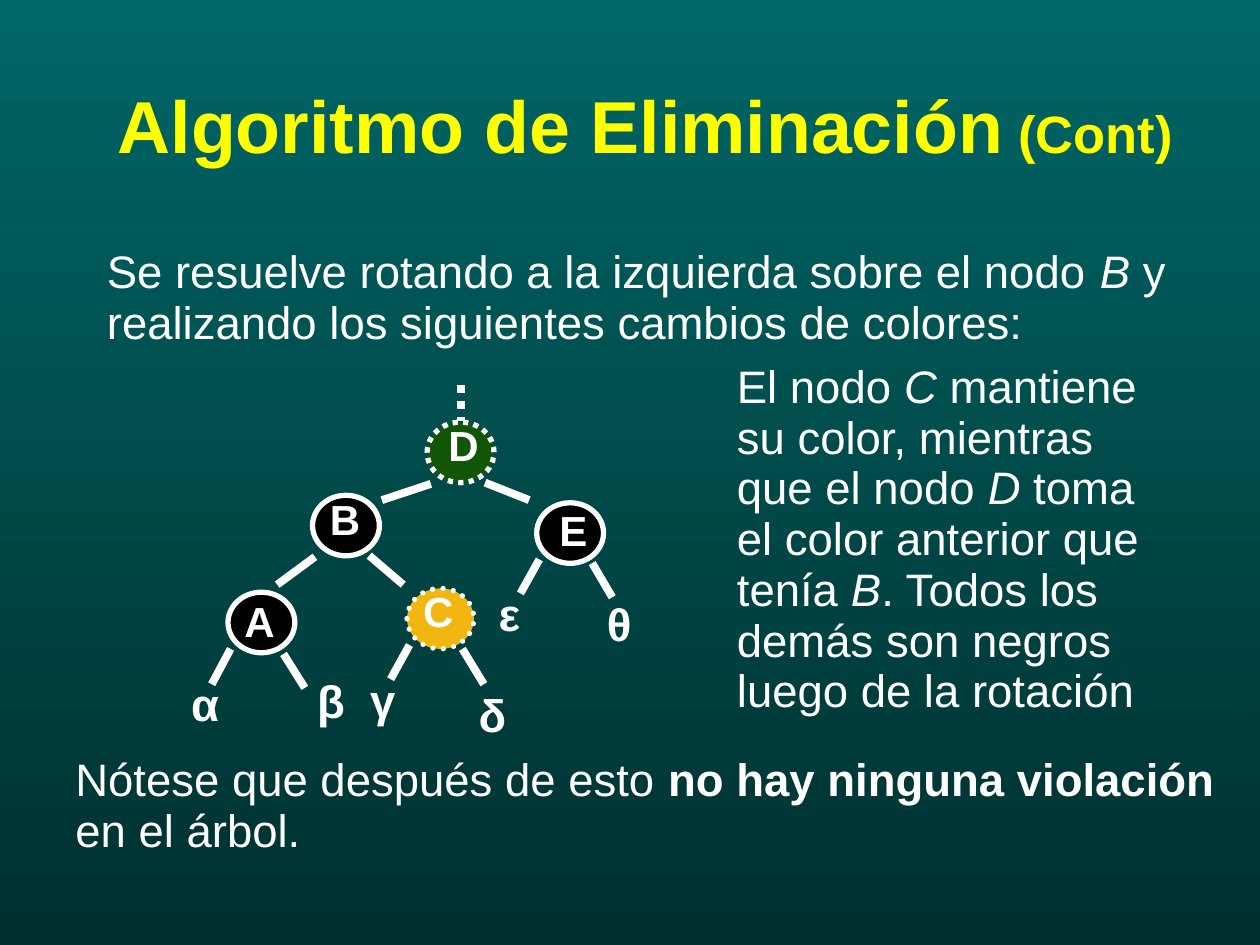
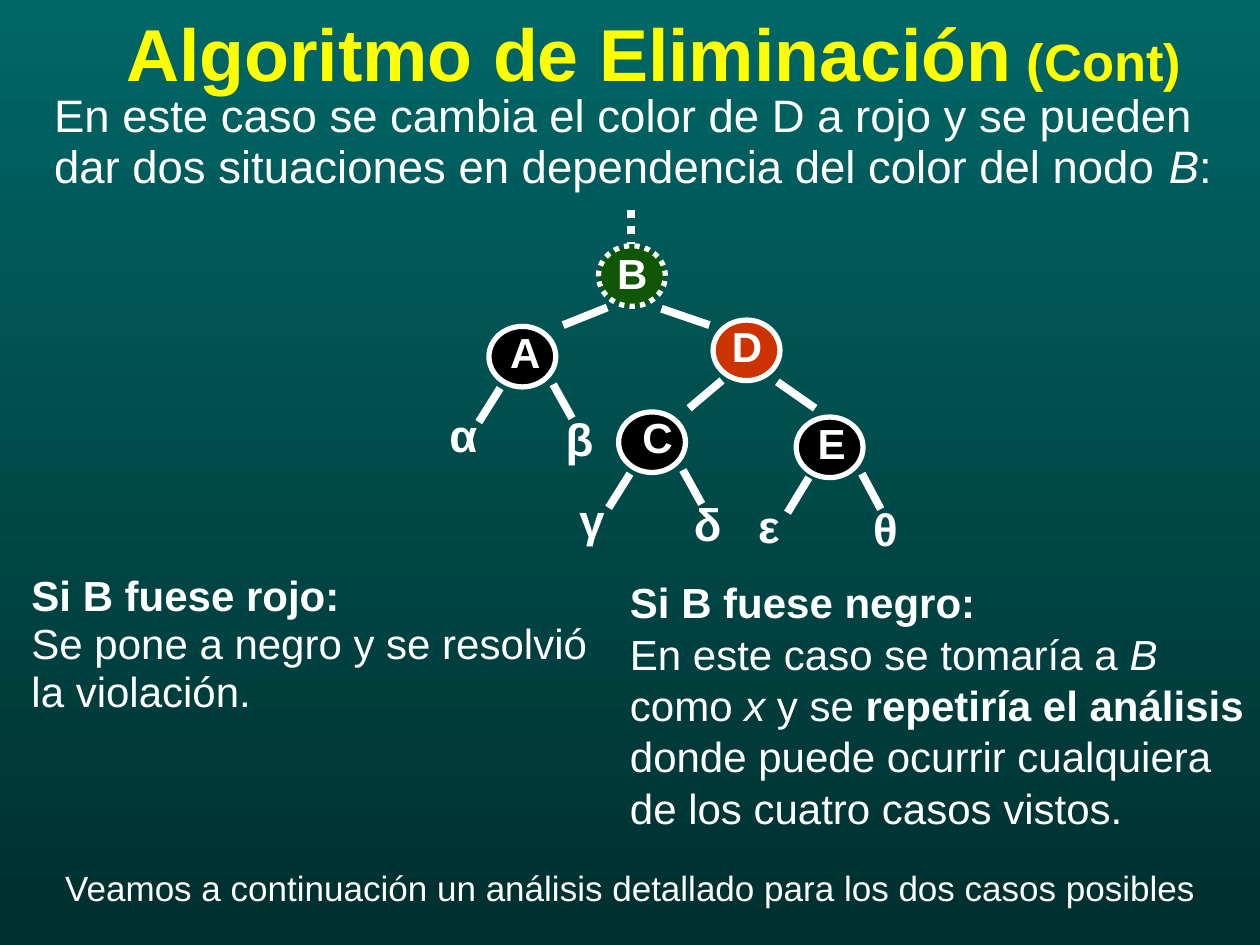
"""Build two slides on deletion in red-black trees."""
import pptx
import pptx.dml.color
import pptx.enum.dml
import pptx.enum.shapes
import pptx.enum.text
import pptx.oxml.ns
import pptx.util
from lxml import etree

Pt = pptx.util.Pt
DOTTED = pptx.enum.dml.MSO_LINE.ROUND_DOT

COLORS = {
    "sky": "006666", "floor": "002F2F", "title": "FFFF00", "text": "FFFFFF",
    "black": "000000", "green": "115606", "amber": "F1B60F", "red": "CC3300",
}
FONT = "Arial"
NODE_SIZE = (38.2, 34.6)
LETTER_SIZE = (34.6, 33.8)
LEAF_SIZE = (31, 38.9)
STYLES = {"": {}, "b": {"bold": True}, "i": {"italic": True}}
TITLE = [("Algoritmo de Eliminación", 42), (" (Cont)", 30)]

SLIDES = [
    {
        "title": {"box": (60, 30, 648, 90), "inset": (7.2, 3.6)},
        "nodes": [
            ("C", "amber", "round", (232.6, 336.2), (234.7, 333.4)),
            ("A", "black", "solid", (130.3, 338.4), (132.5, 339.1)),
            ("B", "black", "solid", (178.6, 283), (181.4, 280.8)),
            ("D", "green", "square", (244.1, 241.2), (249.1, 239)),
            ("E", "black", "solid", (306.7, 287.3), (312.5, 287.3)),
        ],
        "root": (263.5, 220.3, 263.5, 240.5),
        "branches": [
            (246.2, 276.5, 218.2, 285.8), (277.2, 275.8, 302.4, 285.8),
            (180, 318.2, 158.4, 334.1), (211, 317.5, 230.4, 334.1),
            (131.8, 370.8, 121, 391), (162, 373.7, 174.2, 393.1),
            (234, 368.6, 223.2, 388.1), (264.2, 370.8, 276.5, 391),
            (308.2, 319.7, 297.4, 339.1), (338.4, 321.8, 349.9, 341.3),
        ],
        "leaves": [
            ("α", 102.2, 383), ("β", 174.2, 380.9), ("γ", 204.5, 380.2),
            ("δ", 266.4, 388.8), ("ε", 277.9, 331.2), ("θ", 339.8, 337),
        ],
        "notes": [
            {"box": (414, 203.8, 264, 210), "size": 26, "spacing": 0.93, "paragraphs": [[
                ("El nodo ", ""), ("C", "i"),
                (" mantiene su color, mientras que el nodo ", ""), ("D", "i"),
                (" toma el color anterior que tenía ", ""), ("B", "i"),
                (". Todos los demás son negros luego de la rotación", "")]]},
            {"box": (54, 138.2, 636, 65.5), "size": 26, "spacing": 0.93, "paragraphs": [[
                ("Se resuelve rotando a la izquierda sobre el nodo ", ""), ("B", "i"),
                (" y realizando los siguientes cambios de colores:", "")]]},
            {"box": (36, 428.4, 684, 65.5), "size": 26, "spacing": 0.93, "paragraphs": [[
                ("Nótese que después de esto ", ""), ("no hay ninguna violación", "b"),
                (" en el árbol.", "")]]},
        ],
    },
    {
        "title": {"box": (72, -11.5, 625, 90), "inset": (0, 0)},
        "nodes": [
            ("B", "green", "square", (342, 140.4), (345.6, 140.4)),
            ("D", "red", "solid", (407.5, 182.9), (411.1, 182.2)),
            ("E", "black", "solid", (455, 238.3), (460.1, 237.6)),
            ("C", "black", "solid", (353.5, 235.4), (360, 234)),
            ("A", "black", "solid", (279.4, 186.5), (284.4, 185.8)),
        ],
        "root": (360.7, 120.2, 360.7, 139.7),
        "branches": [
            (347, 175.7, 321.8, 185.8), (378, 176.4, 405.4, 185.8),
            (412.6, 217.4, 393.8, 233.3), (444.2, 218.2, 465.8, 233.3),
            (285.8, 221.8, 273.6, 241.2), (316.1, 219.6, 326.9, 239),
            (360, 270.7, 347.8, 290.2), (390.2, 268.6, 401, 288),
            (462.2, 272.9, 450, 293), (492.5, 270.7, 503.3, 290.9),
        ],
        "leaves": [
            ("α", 249.8, 229), ("β", 316.1, 231.1), ("γ", 324, 277.9),
            ("δ", 389.5, 280.1), ("ε", 426.2, 280.8), ("θ", 491.8, 283),
        ],
        "notes": [
            {"box": (23.8, 48.2, 689.8, 118), "size": 26, "spacing": 0.95, "paragraphs": [[
                ("En este caso se cambia el color de D a rojo y se pueden dar dos "
                 "situaciones en dependencia del color del nodo ", ""),
                ("B", "i"), (":", "")]]},
            {"box": (360, 329, 360, 147), "size": 24, "spacing": 1.02, "inset": (0, 0),
             "paragraphs": [
                 [("Si B fuese negro:", "b")],
                 [("En este caso se tomaría a ", ""), ("B", "i"), (" como ", ""),
                  ("x", "i"), (" y se ", ""), ("repetiría el análisis", "b"),
                  (" donde puede ocurrir cualquiera de los cuatro casos vistos.", "")]]},
            {"box": (30.2, 491.8, 684, 31.7), "size": 20, "spacing": 1, "paragraphs": [[
                ("Veamos a continuación un análisis detallado para los dos casos "
                 "posibles", "")]]},
            {"box": (18, 327.6, 333.4, 82), "size": 24, "spacing": 0.95, "inset": (0, 0),
             "paragraphs": [
                 [("Si B fuese rojo:", "b")],
                 [("Se pone a negro y se resolvió la violación.", "")]]},
        ],
    },
]


def rgb(name):
    return pptx.dml.color.RGBColor.from_string(COLORS[name])


def apply(target, values):
    for name, value in values.items():
        setattr(target, name, value)


def format_frame(frame, inset, anchor):
    across, down = map(Pt, inset)
    apply(frame, {
        "word_wrap": True, "auto_size": pptx.enum.text.MSO_AUTO_SIZE.NONE,
        "vertical_anchor": anchor, "margin_left": across, "margin_right": across,
        "margin_top": down, "margin_bottom": down,
    })


def fill_paragraph(paragraph, runs, spacing, color):
    apply(paragraph, {
        "alignment": pptx.enum.text.PP_ALIGN.LEFT, "line_spacing": spacing,
        "space_before": Pt(0), "space_after": Pt(0),
    })
    for words, size, style in runs:
        run = paragraph.add_run()
        run.text = words
        apply(run.font, {"name": FONT, "size": Pt(size), "bold": False,
                         "italic": False, **STYLES[style]})
        run.font.color.rgb = rgb(color)


def add_title(slide, box, inset):
    title = slide.shapes.title
    apply(title, dict(zip(("left", "top", "width", "height"), map(Pt, box))))
    format_frame(title.text_frame, inset, pptx.enum.text.MSO_ANCHOR.MIDDLE)
    runs = [(words, size, "b") for words, size in TITLE]
    fill_paragraph(title.text_frame.paragraphs[0], runs, 0.85, "title")


def add_note(shapes, box, size, spacing, paragraphs, inset=(7.2, 3.6)):
    frame = shapes.add_textbox(*map(Pt, box)).text_frame
    format_frame(frame, inset, pptx.enum.text.MSO_ANCHOR.TOP)
    for index, runs in enumerate(paragraphs):
        paragraph = frame.add_paragraph() if index else frame.paragraphs[0]
        sized = [(words, size, style) for words, style in runs]
        fill_paragraph(paragraph, sized, spacing, "text")


def add_node(shapes, letter, color, outline, corner, letter_corner):
    node = shapes.add_shape(pptx.enum.shapes.MSO_SHAPE.OVAL,
                            *map(Pt, corner + NODE_SIZE))
    node.shadow.inherit = False
    node.fill.solid()
    node.fill.fore_color.rgb = rgb(color)
    node.line.color.rgb = rgb("text")
    node.line.width = Pt(3)
    if outline != "solid":
        node.line.dash_style = DOTTED
    if outline == "round":
        node.element.spPr.find(pptx.oxml.ns.qn("a:ln")).set("cap", "rnd")
    add_note(shapes, letter_corner + LETTER_SIZE, 24, 0.93, [[(letter, "b")]])


def add_branch(shapes, ends, dash=None):
    branch = shapes.add_connector(pptx.enum.shapes.MSO_CONNECTOR.STRAIGHT,
                                  *map(Pt, ends))
    branch.line.color.rgb = rgb("text")
    branch.line.width = Pt(4.5)
    if dash:
        branch.line.dash_style = dash
    etree.SubElement(branch.element.spPr, pptx.oxml.ns.qn("a:effectLst"))


def add_tree(slide, content):
    tree = slide.shapes.add_group_shape().shapes
    for node in content["nodes"]:
        add_node(tree, *node)
    add_branch(tree, content["root"], DOTTED)
    for ends in content["branches"]:
        add_branch(tree, ends)
    for letter, left, top in content["leaves"]:
        add_note(tree, (left, top) + LEAF_SIZE, 26, 1, [[(letter, "b")]])


def paint_background(master):
    fill = master.background.fill
    fill.gradient()
    fill.gradient_angle = 270
    for stop, color in zip(fill.gradient_stops, ("sky", "floor")):
        stop.color.rgb = rgb(color)


def main():
    deck = pptx.Presentation()
    apply(deck, {"slide_width": Pt(720), "slide_height": Pt(540)})
    paint_background(deck.slide_master)
    for content in SLIDES:
        slide = deck.slides.add_slide(deck.slide_layouts[5])
        add_title(slide, **content["title"])
        add_tree(slide, content)
        for note in content["notes"]:
            add_note(slide.shapes, **note)
    deck.save("out.pptx")


if __name__ == "__main__":
    main()
